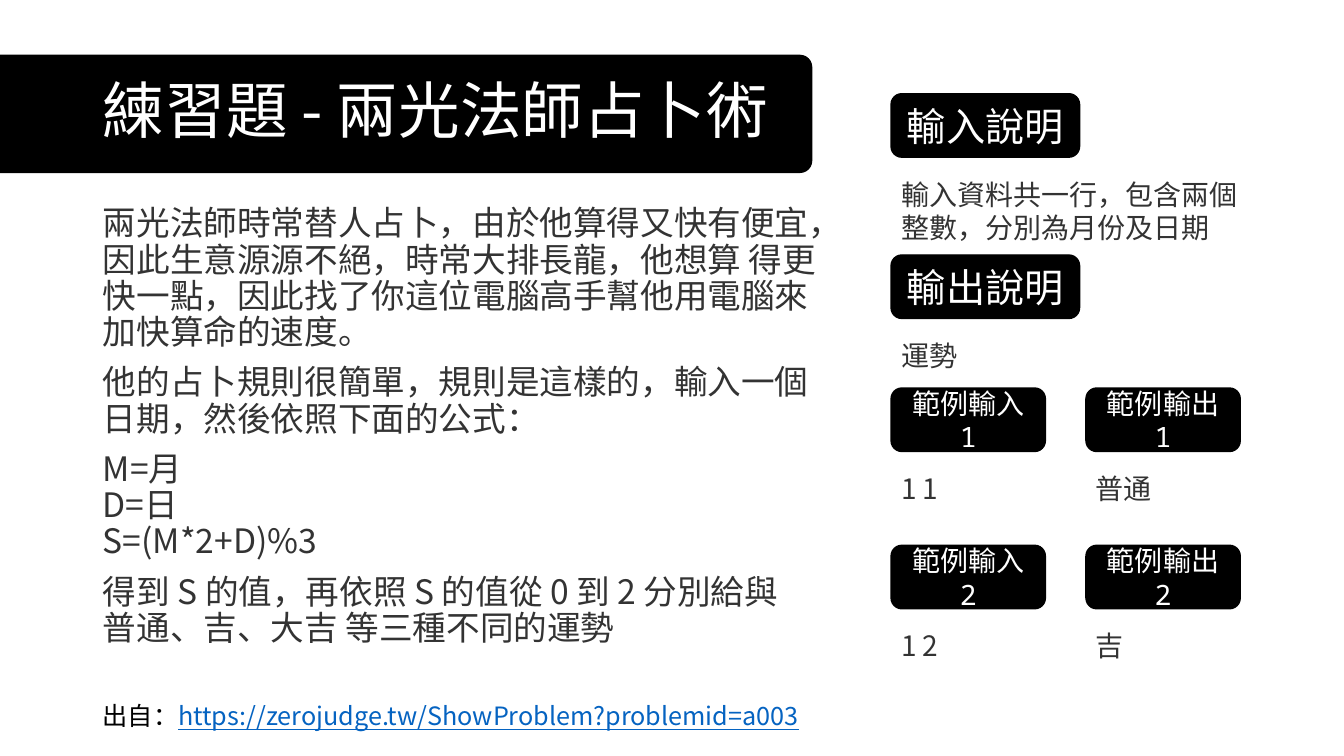
from lxml.etree import SubElement
from pptx import Presentation
from pptx.dml.color import RGBColor
from pptx.enum.shapes import MSO_SHAPE
from pptx.enum.text import MSO_ANCHOR, MSO_AUTO_SIZE, PP_ALIGN
from pptx.oxml.ns import qn
from pptx.util import Inches, Pt

BLACK = RGBColor(0x00, 0x00, 0x00)
WHITE = RGBColor(0xFF, 0xFF, 0xFF)
GREY = RGBColor(0x33, 0x33, 0x33)
BLUE = RGBColor(0x05, 0x63, 0xC1)
SANS = "Noto Sans CJK TC"
MONO = "Noto Sans Mono"

TITLE = "練習題 - 兩光法師占卜術"
STORY = [
    "兩光法師時常替人占卜，由於他算得又快有便宜，因此生意源源不絕，時常大排長龍，"
    "他想算 得更快一點，因此找了你這位電腦高手幫他用電腦來加快算命的速度。",
    "他的占卜規則很簡單，規則是這樣的，輸入一個日期，然後依照下面的公式：",
    "M=月\vD=日\vS=(M*2+D)%3",
    "得到 S 的值，再依照 S 的值從 0 到 2 分別給與 普通、吉、大吉 等三種不同的運勢",
]
SOURCE = ["出自：", "https://zerojudge.tw/ShowProblem?problemid=a003"]
LEFT = 6.9
MAIN = 54.75
SIDE = (66.3, 80.8)
NOTES = [
    (12.4, "輸入說明", "輸入資料共一行，包含兩個整數，分別為月份及日期", 2),
    (33.73, "輸出說明", "運勢", 1),
]
CASES = [(51.33, "1 1", "普通"), (72.13, "1 2", "吉")]


class Deck:
    def __init__(self):
        self.file = Presentation()
        self.file.slide_width = Inches(13.33)
        self.file.slide_height = Inches(7.5)
        self.slide = self.file.slides.add_slide(self.file.slide_layouts[1])
        self.shapes = self.slide.shapes

    def area(self, x, y, w, h):
        wide, high = self.file.slide_width, self.file.slide_height
        return [int(part * full / 100) for part, full in zip((x, y, w, h), (wide, high) * 2)]

    def style(self, para, size, color, font=SANS):
        for run in para.runs:
            run.font.size = Pt(size)
            run.font.name = font
            run.font.color.rgb = color
            SubElement(run.font._element, qn("a:ea"), typeface=SANS)

    def place(self, holder, area, anchor):
        holder.left, holder.top, holder.width, holder.height = self.area(*area)
        frame = holder.text_frame
        frame.auto_size = MSO_AUTO_SIZE.NONE
        frame.vertical_anchor = anchor
        return frame

    def title(self, text, area):
        frame = self.place(self.shapes.title, area, MSO_ANCHOR.MIDDLE)
        frame.text = text
        para = frame.paragraphs[0]
        para.alignment = PP_ALIGN.LEFT
        para.line_spacing = 0.9
        self.style(para, 44, WHITE)

    def body(self, texts, area):
        frame = self.place(self.slide.placeholders[1], area, MSO_ANCHOR.TOP)
        for num, text in enumerate(texts):
            para = frame.add_paragraph() if num else frame.paragraphs[0]
            para.text = text
            props = para._p.get_or_add_pPr()
            props.set("marL", "0")
            props.set("indent", "0")
            SubElement(props, qn("a:buNone"))
            para.line_spacing = 0.9
            para.space_before = Pt(10 if num else 0)
            self.style(para, 24, GREY)

    def block(self, area, round):
        shape = self.shapes.add_shape(MSO_SHAPE.ROUNDED_RECTANGLE, *self.area(*area))
        shape.adjustments[0] = round
        shape.shadow.inherit = False
        shape.fill.solid()
        shape.fill.fore_color.rgb = BLACK
        shape.line.color.rgb = BLACK
        shape.line.width = Pt(1)
        return shape

    def banner(self, area):
        bar = self.block(area, 0.1)
        self.shapes.title.element.addprevious(bar.element)

    def label(self, text, area, size):
        frame = self.block(area, 0.17).text_frame
        frame.text = text
        frame.vertical_anchor = MSO_ANCHOR.MIDDLE
        para = frame.paragraphs[0]
        para.alignment = PP_ALIGN.CENTER
        self.style(para, size, WHITE, MONO)

    def text(self, parts, area, size, color):
        frame = self.shapes.add_textbox(*self.area(*area)).text_frame
        frame.word_wrap = True
        para = frame.paragraphs[0]
        for part in parts:
            para.add_run().text = part
        self.style(para, size, color)
        return para

    def card(self, head, text, x, y, wide, span, size, lines=1):
        self.label(head, (x, y, wide, 8.4), size)
        self.text([text], (x, y + 10.4, span, 1.47 + 4.4 * lines), 20, GREY)

    def credit(self, parts, area):
        link = self.text(parts, area, 18, BLACK).runs[-1]
        link.font.color.rgb = BLUE
        link.font.underline = True


def main():
    deck = Deck()
    deck.banner((-16.13, 7.33, 76.52, 15.47))
    deck.title(TITLE, (LEFT, 5.33, 86.27, 19.33))
    deck.body(STORY, (LEFT, 26.67, MAIN, 73.33))
    for y, head, text, lines in NOTES:
        deck.card(head, text, SIDE[0], y, 14.03, 28.06, 28, lines)
    for num, (y, *pair) in enumerate(CASES, 1):
        for x, kind, text in zip(SIDE, ("輸入", "輸出"), pair):
            deck.card(f"範例{kind}{num}", text, x, y, 11.48, 11.48, 20)
    deck.credit(SOURCE, (LEFT, 92, MAIN, 5.33))
    deck.file.save("out.pptx")


if __name__ == "__main__":
    main()
